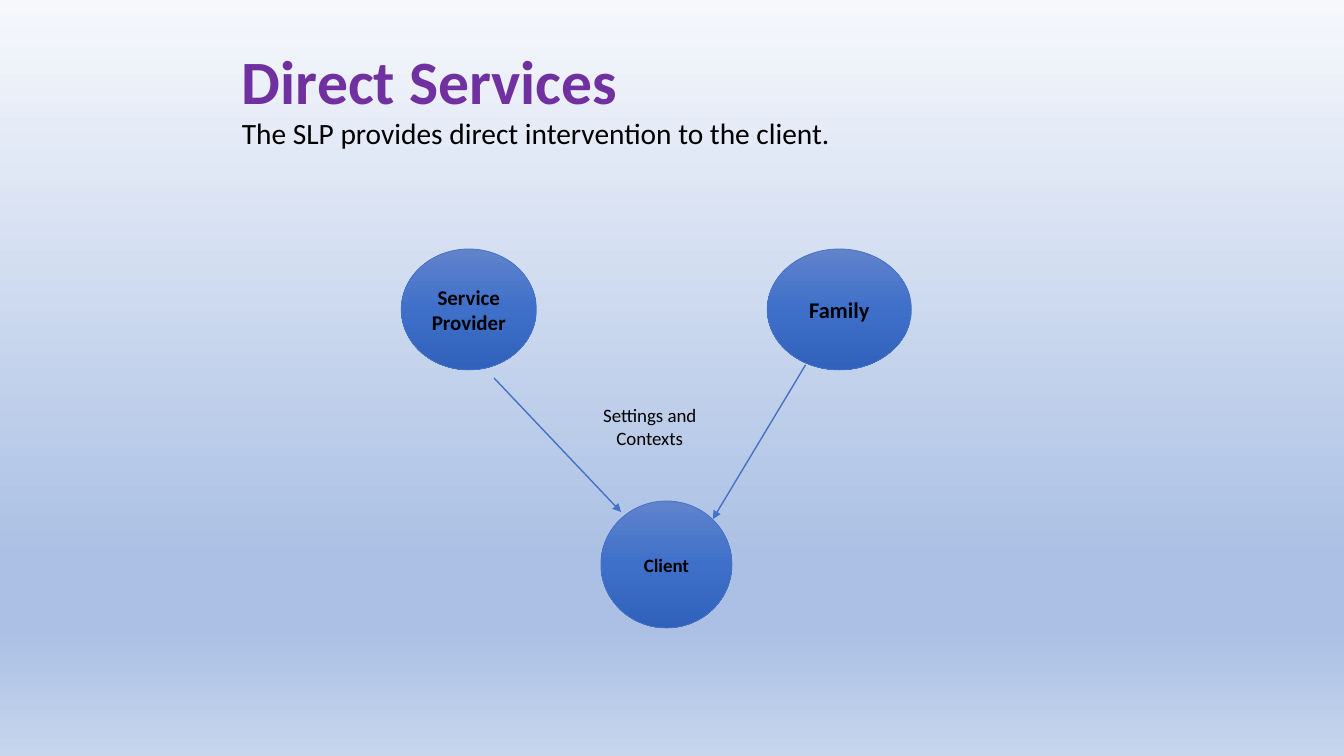
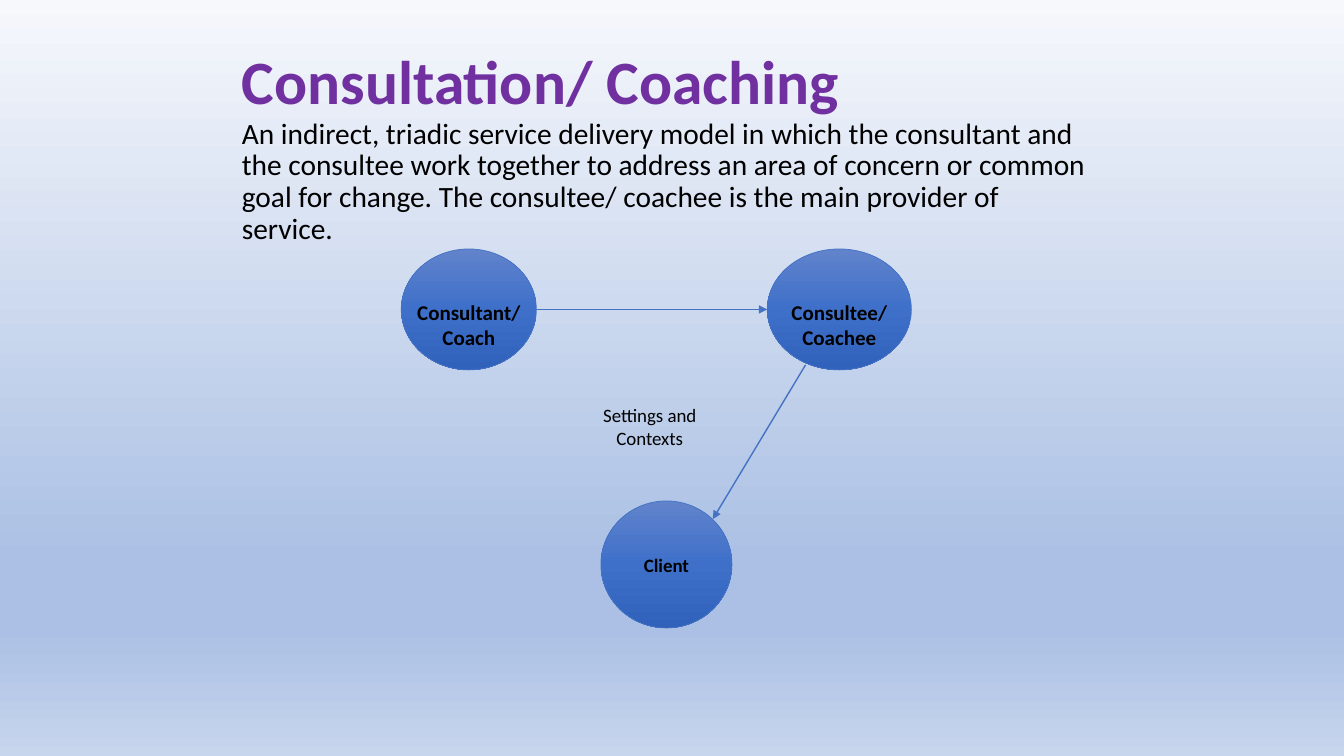
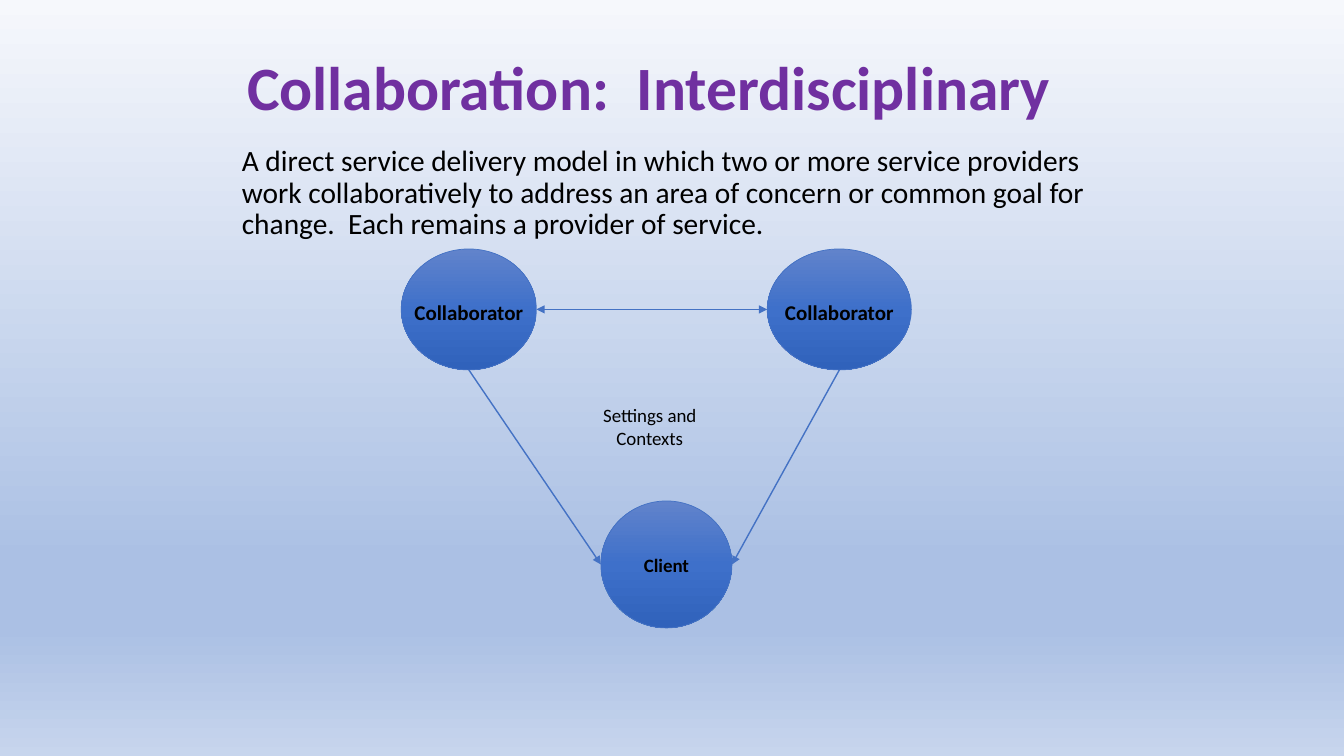
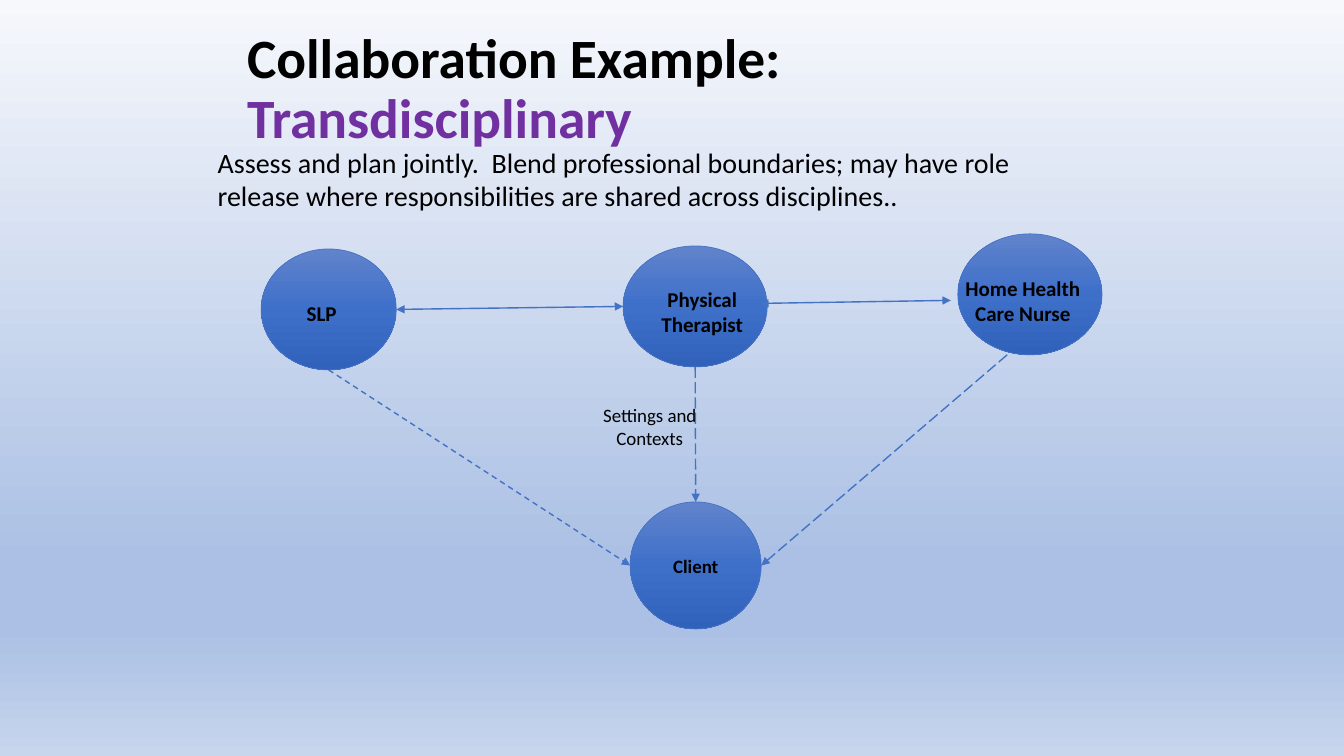
import copy

import pptx
import pptx.dml.color
import pptx.enum.dml
import pptx.enum.shapes
import pptx.enum.text
import pptx.oxml.ns
import pptx.oxml.xmlchemy
import pptx.util

Inches = pptx.util.Inches
Pt = pptx.util.Pt
RGBColor = pptx.dml.color.RGBColor
Align = pptx.enum.text.PP_ALIGN
Anchor = pptx.enum.text.MSO_ANCHOR
Dash = pptx.enum.dml.MSO_LINE
qn = pptx.oxml.ns.qn
Node = pptx.oxml.xmlchemy.OxmlElement

BLACK = RGBColor(0x00, 0x00, 0x00)
PURPLE = RGBColor(0x70, 0x30, 0xA0)
BLUE = RGBColor(0x44, 0x72, 0xC4)
PALE = RGBColor(0xF6, 0xF8, 0xFC)
HAZE = RGBColor(0xAB, 0xC0, 0xE4)
MIST = RGBColor(0xC7, 0xD5, 0xED)
SKY = [(0, PALE), (0.74, HAZE), (0.83, HAZE), (1, MIST)]
BALL = [
    (0, RGBColor(0x61, 0x83, 0xCB)),
    (0.5, RGBColor(0x3E, 0x70, 0xCA)),
    (1, RGBColor(0x30, 0x62, 0xBB)),
]
FONT = "Calibri"
TOP, LEFT, LOW, RIGHT = (0.5, 0), (0, 0.5), (0.5, 1), (1, 0.5)


def point(x, y):
    return Inches(x), Inches(y)


def spot(shape, side):
    x, y = side
    return int(shape.left + shape.width * x), int(shape.top + shape.height * y)


def shade(fill, root, stops):
    fill.gradient()
    fill.gradient_angle = 270
    items = root.find(".//" + qn("a:gsLst"))
    for _ in stops[2:]:
        items.append(copy.deepcopy(items[0]))
    for stop, (place, color) in zip(fill.gradient_stops, stops):
        stop.position = place
        stop.color.rgb = color


class Deck:
    def __init__(self):
        self.show = pptx.Presentation()
        self.show.slide_width = Inches(13.33)
        self.show.slide_height = Inches(7.5)
        master = self.show.slide_master
        shade(master.background.fill, master._element, SKY)
        self.slide = None

    def start(self, parts, box, size=44):
        self.slide = self.show.slides.add_slide(self.show.slide_layouts[5])
        title = self.slide.shapes.title
        title.left, title.top, title.width, title.height = map(Inches, box)
        frame = title.text_frame
        frame.auto_size = pptx.enum.text.MSO_AUTO_SIZE.NONE
        frame.vertical_anchor = Anchor.MIDDLE
        self.style(frame, "", size, True, Align.LEFT)
        para = frame.paragraphs[0]
        para.line_spacing = 0.9
        for text, color in parts:
            run = para.add_run()
            run.text = text
            run.font.color.rgb = color

    def style(self, frame, text, size, bold, align):
        frame.word_wrap = True
        frame.text = text
        for para in frame.paragraphs:
            para.alignment = align
            para.font.name = FONT
            para.font.size = Pt(size)
            para.font.bold = bold
            para.font.color.rgb = BLACK

    def label(self, text, box, size=15, bold=True, align=Align.CENTER):
        shape = self.slide.shapes.add_textbox(*map(Inches, box))
        self.style(shape.text_frame, text, size, bold, align)
        return shape.text_frame

    def lead(self, text, top):
        frame = self.label(text, (2.3, top, 8.62, 1.3), 21, False, Align.LEFT)
        para = frame.paragraphs[0]
        para.line_spacing = 0.9
        para.space_before = Pt(7.5)

    def circle(self, left, top, width=1.43, height=1.2):
        shape = self.slide.shapes.add_shape(
            pptx.enum.shapes.MSO_SHAPE.OVAL,
            *map(Inches, (left, top, width, height)))
        shape.shadow.inherit = False
        shade(shape.fill, shape._element, BALL)
        shape.line.color.rgb = BLUE
        shape.line.width = Pt(0.5)
        return shape

    def client(self, left, top):
        shape = self.circle(left, top, 1.3, 1.26)
        self.label("Client", (left, top + 0.47, 1.3, 0.33), 13.5)
        return shape

    def context(self):
        self.label("Settings and Contexts", (5.63, 3.96, 1.63, 0.56), 13.5, False)

    def trio(self):
        self.context()
        return self.circle(3.98, 2.47, 1.34), self.circle(7.61, 2.47), self.client(5.96, 4.97)

    def link(self, start, end, both=False, dash=None):
        line = self.slide.shapes.add_connector(
            pptx.enum.shapes.MSO_CONNECTOR.STRAIGHT, *start, *end)
        line.line.color.rgb = BLUE
        line.line.width = Pt(1)
        if dash:
            line.line.dash_style = dash
        props = line._element.spPr
        stroke = props.find(qn("a:ln"))
        for tag in ("a:headEnd", "a:tailEnd") if both else ("a:tailEnd",):
            tip = Node(tag)
            tip.set("type", "triangle")
            stroke.append(tip)
        props.append(Node("a:effectLst"))


HIGH = (2.3, 0.11, 8.62, 1.45)
MAIN = (2.35, 0.4, 8.62, 1)
SLANT = point(7.99, 3.62), point(7.07, 5.15)


def direct(deck):
    deck.start([("Direct Services", PURPLE)], HIGH)
    deck.lead("The SLP provides direct intervention to the client.", 1.13)
    _, family, _ = deck.trio()
    family.text_frame.vertical_anchor = Anchor.MIDDLE
    deck.style(family.text_frame, "Family", 16, True, Align.CENTER)
    deck.label("Service Provider", (3.98, 2.77, 1.34, 0.61))
    deck.link(point(4.9, 3.75), point(6.16, 5.08))
    deck.link(*SLANT)


def coach(deck):
    deck.start([("Consultation/ Coaching", PURPLE)], HIGH)
    deck.lead("An indirect, triadic service delivery model in which the consultant and "
              "the consultee work together to address an area of concern or common goal "
              "for change. The consultee/ coachee is the main provider of service.", 1.13)
    guide, peer, _ = deck.trio()
    deck.label("Consultant/\nCoach", (3.98, 2.92, 1.34, 0.61))
    deck.label("Consultee/\nCoachee", (7.61, 2.92, 1.43, 0.61))
    deck.link(spot(guide, RIGHT), spot(peer, LEFT))
    deck.link(*SLANT)


def inter(deck):
    deck.start([("Collaboration:  Interdisciplinary", PURPLE)], MAIN)
    deck.lead("A direct service delivery model in which two or more service providers "
              "work collaboratively to address an area of concern or common goal for "
              "change.  Each remains a provider of service.", 1.4)
    first, second, client = deck.trio()
    for left, width in ((3.98, 1.34), (7.61, 1.43)):
        deck.label("Collaborator", (left, 2.92, width, 0.35))
    deck.link(spot(first, RIGHT), spot(second, LEFT), both=True)
    deck.link(spot(second, LOW), spot(client, RIGHT))
    deck.link(spot(first, LOW), spot(client, LEFT))


def trans(deck):
    deck.start([("Collaboration Example: ", BLACK), ("Transdisciplinary", PURPLE)], MAIN, 39.6)
    deck.label("Assess and plan jointly.  Blend professional boundaries; may have role "
               "release where responsibilities are shared across disciplines..",
               (2.06, 1.39, 8.81, 0.77), 20, False, Align.LEFT)
    speech = deck.circle(2.59, 2.47, 1.34)
    motor = deck.circle(6.18, 2.44)
    deck.circle(9.5, 2.32)
    client = deck.client(6.25, 4.98)
    deck.link(spot(speech, RIGHT), spot(motor, LEFT), both=True)
    deck.link(point(7.54, 3.01), point(9.43, 2.98), both=True)
    deck.link(spot(motor, LOW), spot(client, TOP), dash=Dash.LONG_DASH)
    deck.link(spot(speech, LOW), spot(client, LEFT), dash=Dash.DASH)
    deck.link(point(9.99, 3.52), spot(client, RIGHT), dash=Dash.LONG_DASH)
    deck.label("SLP", (2.52, 2.93, 1.34, 0.35))
    deck.label("Physical Therapist", (6.25, 2.79, 1.43, 0.61))
    deck.label("Home Health Care Nurse", (9.43, 2.68, 1.43, 0.61))
    deck.context()


def main():
    deck = Deck()
    for build in (direct, coach, inter, trans):
        build(deck)
    deck.show.save("out.pptx")


if __name__ == "__main__":
    main()
